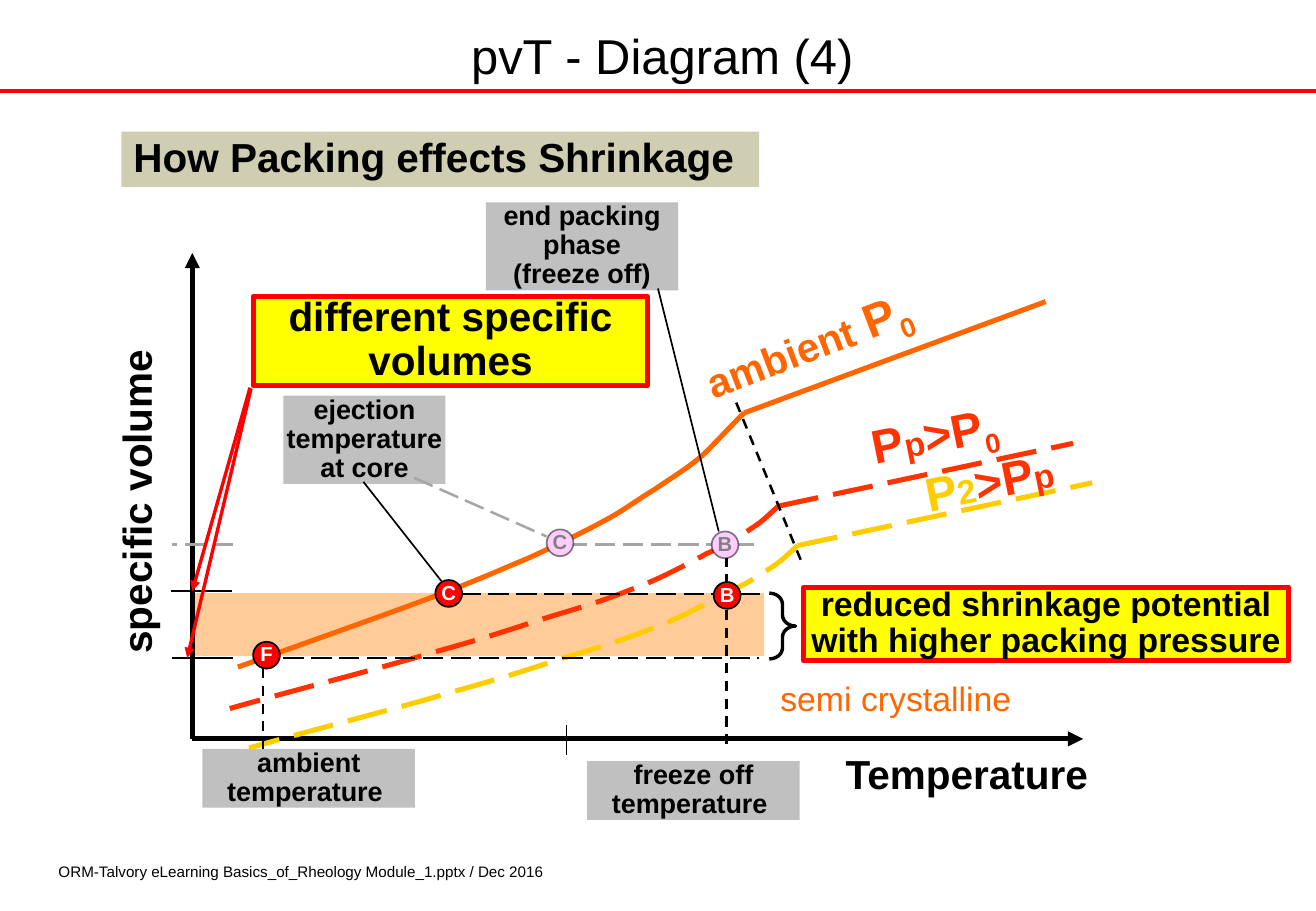
from lxml import etree
from pptx import Presentation
from pptx.dml.color import RGBColor
from pptx.enum.dml import MSO_LINE
from pptx.enum.shapes import MSO_CONNECTOR, MSO_SHAPE
from pptx.enum.text import MSO_ANCHOR, PP_ALIGN
from pptx.oxml.ns import qn
from pptx.util import Inches, Pt

CENTER, LEFT = PP_ALIGN.CENTER, PP_ALIGN.LEFT
TOP, MIDDLE = MSO_ANCHOR.TOP, MSO_ANCHOR.MIDDLE
RECTANGLE, OVAL, BRACE = MSO_SHAPE.RECTANGLE, MSO_SHAPE.OVAL, MSO_SHAPE.RIGHT_BRACE
STRAIGHT = MSO_CONNECTOR.STRAIGHT
DASH, LONG_DASH = MSO_LINE.DASH, MSO_LINE.LONG_DASH

COLORS = {name: RGBColor.from_string(value) for name, value in {
    "black": "000000", "white": "FFFFFF", "red": "FF0000", "yellow": "FFFF00",
    "ambient": "FF6600", "packing": "FF3300", "higher": "FFCC00",
    "band": "FFCC99", "heading": "CFCEB2", "note": "C0C0C0",
    "faded line": "A6A6A6", "faded text": "808080", "faded marker": "FFCCFF",
}.items()}
COLUMNS, ROWS = 130, 90
CELL = Inches(1) // 12

deck = Presentation()
deck.slide_width, deck.slide_height = COLUMNS * CELL, ROWS * CELL
slide = deck.slides.add_slide(deck.slide_layouts[6])
shapes = slide.shapes


def write(shape, runs, size, ink="black", bold=True, align=CENTER,
          anchor=TOP, inset=(0, 0), spacing=None, wrap=True):
    frame = shape.text_frame
    frame.word_wrap = wrap
    frame.vertical_anchor = anchor
    frame.margin_left = frame.margin_right = Inches(inset[0])
    frame.margin_top = frame.margin_bottom = Inches(inset[1])
    paragraph = frame.paragraphs[0]
    paragraph.alignment = align
    paragraph.line_spacing = spacing
    paragraph.font.name = "Arial"
    paragraph.font.size = Pt(size)
    paragraph.font.bold = bold
    paragraph.font.color.rgb = COLORS[ink]
    if isinstance(runs, str):
        paragraph.text = runs
        return
    for words, run_size, run_ink, baseline in runs:
        run = paragraph.add_run()
        run.text = words
        run.font.size = Pt(run_size)
        run.font.color.rgb = COLORS[run_ink]
        if baseline:
            run.font._element.set("baseline", str(baseline * 1000))


def draw_line(ends, color, width, dash=None, arrow=False):
    line = shapes.add_connector(STRAIGHT, *[round(v * CELL) for v in ends])
    line.line.color.rgb = COLORS[color]
    line.line.width = Pt(width)
    if dash:
        line.line.dash_style = dash
    properties = line._element.spPr
    if arrow:
        etree.SubElement(properties.find(qn("a:ln")), qn("a:tailEnd"), type="triangle")
    etree.SubElement(properties, qn("a:effectLst"))


PLAIN = dict(inset=(0, 0))
panels = [
    ((19.2, 58.6, 56.3, 6.2), "band", None, "", 16, PLAIN),
    ((12, 13, 63, 5.5), "heading", None, "How Packing effects Shrinkage", 24,
     dict(inset=(0.1, 0.05), align=LEFT)),
    ((20, 74, 21, 5.8), "note", None, "ambient temperature ", 16, PLAIN),
    ((58, 75.2, 21, 5.8), "note", None, "freeze off temperature ", 16, PLAIN),
    ((48, 20, 19, 8.7), "note", None, "end packing\vphase\v(freeze off)", 16, PLAIN),
    ((28, 39.1, 16, 8.7), "note", None, "ejection temperature at core", 16, PLAIN),
    ((25, 29.3, 39, 8.8), "yellow", "red", "different specific volumes", 24, PLAIN),
    ((79.4, 58, 47.9, 7.3), "yellow", "red",
     "reduced shrinkage potential with higher packing pressure", 20, PLAIN),
]
for place, fill, edge, words, size, layout in panels:
    panel = shapes.add_shape(RECTANGLE, *[round(v * CELL) for v in place])
    panel.shadow.inherit = False
    panel.fill.solid()
    panel.fill.fore_color.rgb = COLORS[fill]
    if edge:
        panel.line.color.rgb = COLORS[edge]
        panel.line.width = Pt(3)
    else:
        panel.line.fill.background()
    if words:
        write(panel, words, size, spacing=0.9, **layout)

brace = shapes.add_shape(BRACE, *[round(v * CELL) for v in (76, 58.6, 2.6, 6.5)])
brace.shadow.inherit = False
brace.fill.background()
brace.line.color.rgb = COLORS["black"]
brace.line.width = Pt(2)
brace.adjustments[0] = 0.42

draw_line((0, 9, COLUMNS, 9), "red", 2.25)
for axis_end in [(19, 25), (107, 73)]:
    draw_line((19, 73, *axis_end), "black", 3, arrow=True)

ambient_curve = [
    (73.5, 40.8), (72.2, 42.1), (71, 43.4), (69.6, 44.8), (68.2, 46.1),
    (66.2, 47.3), (64.6, 48.4), (62.9, 49.4), (61.7, 50.4), (59.6, 51.5),
    (57.6, 52.6), (55.1, 53.8), (52.3, 55.1), (49.4, 56.3), (47.5, 57.2),
    (42.7, 59), (37.9, 60.8), (26.6, 64.8), (23.5, 65.9)]
packing_curve = [
    (76.9, 50), (76.2, 50.6), (75.5, 51.4), (74.4, 52.1), (73.2, 52.9),
    (71.9, 53.8), (69.8, 54.7), (67.8, 55.8), (64.8, 57.4), (62.2, 58.3),
    (59.5, 59.4), (57.4, 60), (54.1, 61), (51, 62), (48.1, 63),
    (43, 64.4), (37.7, 66), (30.1, 67.9), (22.7, 70)]
higher_curve = [(x + 1.9, y + 3.9) for x, y in packing_curve]
pressure_curves = [
    (ambient_curve, (103.3, 29.8), "ambient", None),
    (packing_curve, (106, 43.8), "packing", LONG_DASH),
    (higher_curve, (107.9, 47.7), "higher", LONG_DASH),
]
for points, melt_end, color, dash in pressure_curves:
    start, *controls = [(round(x * CELL), round(y * CELL)) for x, y in points]
    builder = shapes.build_freeform(*start)
    builder.add_line_segments(controls, close=False)
    curve = builder.convert_to_shape()
    outline = curve._element.find(".//" + qn("a:path"))
    segments = outline.findall(qn("a:lnTo"))
    for first in range(0, len(segments), 3):
        bezier = etree.SubElement(outline, qn("a:cubicBezTo"))
        for segment in segments[first:first + 3]:
            bezier.append(segment[0])
            outline.remove(segment)
    curve.shadow.inherit = False
    curve.fill.background()
    curve.line.color.rgb = COLORS[color]
    curve.line.width = Pt(3)
    if dash:
        curve.line.dash_style = dash
    draw_line((*points[0], *melt_end), color, 3, dash)

guides = [
    ((23, 53.8, 17, 53.8), "faded line", 1.5, LONG_DASH),
    ((56, 53.8, 75, 53.8), "faded line", 1.5, LONG_DASH),
    ((40.9, 47.2, 54, 53), "faded line", 1.5, LONG_DASH),
    ((28, 65, 75, 65), "black", 1.5, LONG_DASH),
    ((45.5, 58.7, 75.1, 58.7), "black", 1.5, LONG_DASH),
    ((26, 66, 26, 74), "black", 1.5, DASH),
    ((71.75, 55, 71.75, 74), "black", 1.5, DASH),
    ((79.1, 55.3, 72.7, 39.7), "black", 1.5, DASH),
    ((23, 65, 17, 65), "black", 1.5),
    ((22.9, 58.4, 16.9, 58.4), "black", 1.5),
    ((56, 71.6, 56, 74.6), "black", 0.75),
    ((65, 28.5, 71, 52.5), "black", 1),
    ((35.9, 47.6, 43.6, 57.4), "black", 1),
    ((24.7, 38.3, 19, 58.4), "red", 2, None, True),
    ((24.8, 38.4, 18.5, 65), "red", 2, None, True),
]
for guide in guides:
    draw_line(*guide)

markers = [("F", 25, 63.4, False), ("B", 70.3, 52.5, True), ("C", 54, 52.3, True),
           ("B", 70.5, 57.5, False), ("C", 43, 57.3, False)]
for letter, left, top, faded in markers:
    marker = shapes.add_shape(OVAL, *[round(v * CELL) for v in (left, top, 2.65, 2.65)])
    marker.shadow.inherit = False
    marker.fill.solid()
    marker.fill.fore_color.rgb = COLORS["faded marker" if faded else "red"]
    marker.line.color.rgb = COLORS["black"]
    marker.line.width = Pt(1)
    if faded:
        edge_color = marker._element.spPr.find(qn("a:ln")).find(".//" + qn("a:srgbClr"))
        etree.SubElement(edge_color, qn("a:alpha"), val="50000")
    write(marker, letter, 12, "faded text" if faded else "white", anchor=MIDDLE,
          inset=(0.1, 0.05), spacing=0.9, wrap=False)

SIDE = dict(inset=(0.1, 0))
captions = [
    ((3.7, 2.5, 123.5, 5.9), 0, "pvT - Diagram (4)", 29, "black",
     dict(inset=(0.09, 0), bold=False, anchor=MIDDLE)),
    ((4.7, 84.6, 50.9, 2.9), 0,
     "ORM-Talvory eLearning Basics_of_Rheology Module_1.pptx / Dec 2016", 9, "black",
     dict(inset=(0.09, 0.05), bold=False, align=LEFT)),
    ((82, 74, 27, 4.8), 0, "Temperature", 24, "black", SIDE),
    ((-9.6, 46.6, 46, 4.8), 270, "specific volume ", 24, "black", SIDE),
    ((73, 67, 31, 4), 0, "semi crystalline", 20, "ambient", dict(SIDE, bold=False)),
    ((66.3, 31, 27.6, 5.6), 339.2,
     [("ambient", 24, "ambient", 0), (" P", 28, "ambient", 0),
      ("0 ", 28, "ambient", -25)], 28, "ambient", SIDE),
    ((76.8, 40, 31.7, 5.6), 348.6,
     [("P", 28, "packing", 0), ("p", 20, "packing", 0), (">P", 28, "packing", 0),
      ("0 ", 28, "packing", -25)], 28, "packing", SIDE),
    ((82.3, 44.6, 31.7, 5.6), 348.6,
     [("P", 28, "higher", 0), ("2", 20, "higher", 0), (">P", 28, "packing", 0),
      ("p ", 20, "packing", 0)], 28, "higher", SIDE),
]
for place, turn, words, size, ink, layout in captions:
    caption = shapes.add_textbox(*[round(v * CELL) for v in place])
    caption.rotation = turn
    write(caption, words, size, ink, **layout)

deck.save("out.pptx")
